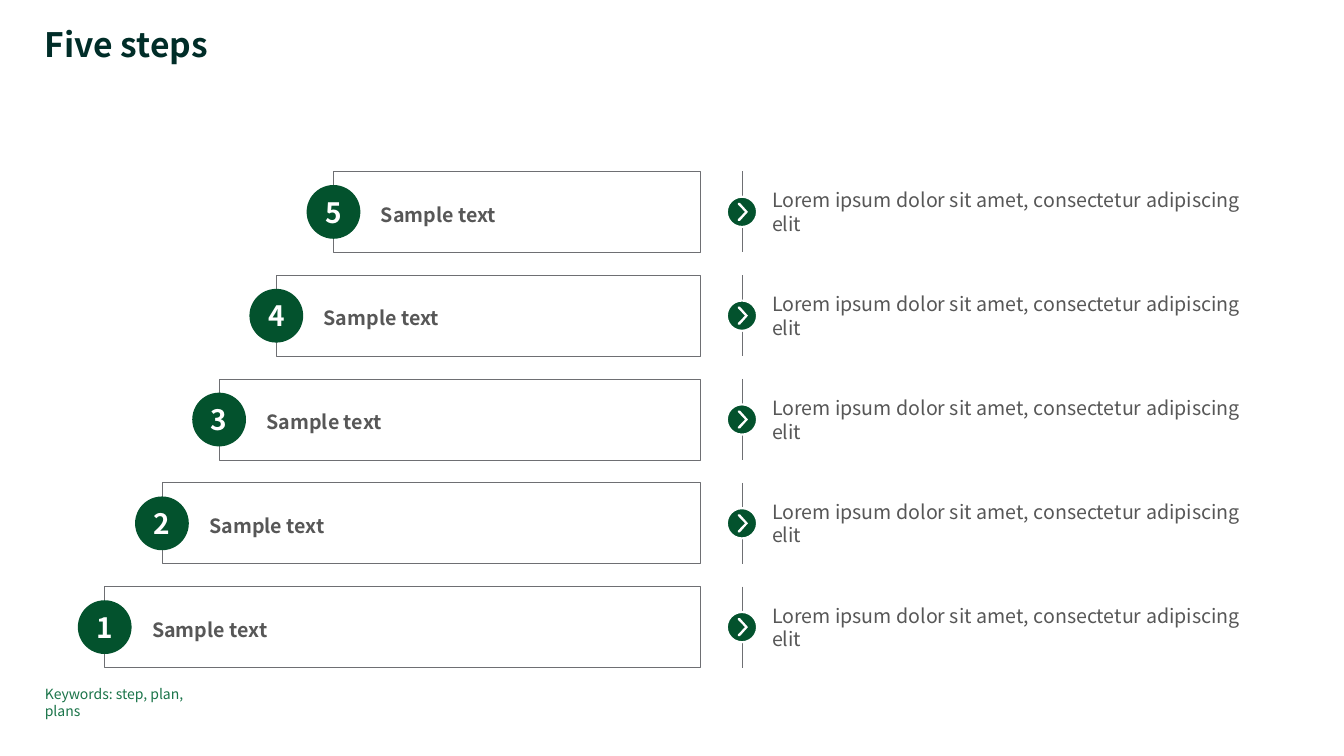
from lxml.etree import SubElement
from pptx import Presentation
from pptx.dml.color import RGBColor
from pptx.enum.shapes import MSO_CONNECTOR, MSO_SHAPE
from pptx.enum.text import MSO_ANCHOR, MSO_AUTO_SIZE, PP_ALIGN
from pptx.oxml.ns import qn
from pptx.util import Pt

FONT = "Noto Sans CJK JP"
GREEN, DARK, KEYWORD_GREEN = "03522D", "002D28", "1A7449"
GREY, LINE_GREY, WHITE = "575757", "6E6F73", "FFFFFF"

# Staircase geometry, in points
TOP, PITCH, BAR_HEIGHT = 122.4, 74.15, 57.9
BAR_LEFT, STAIR, BAR_RIGHT = 238.2, 40.85, 500.4
BADGE, MARKER, MARKER_X = 38.4, 21.6, 530
DETAIL_LEFT, DETAIL_WIDTH, DETAIL_HEIGHT = 551.5, 342.7, 34
CHEVRON = [(-1.4, -6.4), (4.3, 0), (-1.4, 6.4), (-2.9, 6.4),
           (-2.9, 5.3), (2.2, 0), (-2.9, -5.3), (-2.9, -6.4)]


def color(value):
    return RGBColor.from_string(value)


class SlideBuilder:
    def __init__(self, slide, font):
        self.slide = slide
        self.shapes = slide.shapes
        self.font = font

    def set_text(self, shape, text, size, ink, bold=False, margins=(0, 0, 0, 0),
                 anchor=MSO_ANCHOR.MIDDLE, **paragraph_format):
        frame = shape.text_frame
        frame.text = text
        left, top, right, bottom = margins
        frame_format = {
            "word_wrap": True, "auto_size": MSO_AUTO_SIZE.NONE,
            "vertical_anchor": anchor,
            "margin_left": Pt(left), "margin_top": Pt(top),
            "margin_right": Pt(right), "margin_bottom": Pt(bottom),
        }
        for name, value in frame_format.items():
            setattr(frame, name, value)
        paragraph = frame.paragraphs[0]
        for name, value in {"alignment": PP_ALIGN.LEFT, **paragraph_format}.items():
            setattr(paragraph, name, value)
        for name, value in {"name": self.font, "size": Pt(size), "bold": bold}.items():
            setattr(paragraph.font, name, value)
        paragraph.font.color.rgb = color(ink)

    def paint(self, shape, fill, line=None, width=0.5):
        shape.shadow.inherit = False
        shape.fill.solid()
        shape.fill.fore_color.rgb = color(fill)
        if line:
            shape.line.color.rgb = color(line)
            shape.line.width = Pt(width)
        else:
            shape.line.fill.background()

    def title(self, text, left, top, width, height):
        title = self.shapes.title
        box = {"left": left, "top": top, "width": width, "height": height}
        for name, value in box.items():
            setattr(title, name, Pt(value))
        self.set_text(title, text, 24, DARK, bold=True, anchor=MSO_ANCHOR.TOP,
                      line_spacing=0.9)

    def text(self, text, left, top, width, height, size, ink, **text_format):
        box = self.shapes.add_textbox(Pt(left), Pt(top), Pt(width), Pt(height))
        self.set_text(box, text, size, ink, **text_format)

    def bar(self, text, left, top, width, height):
        bar = self.shapes.add_shape(MSO_SHAPE.RECTANGLE, Pt(left), Pt(top),
                                    Pt(width), Pt(height))
        self.paint(bar, WHITE, LINE_GREY)
        self.set_text(bar, text, 14, GREY, bold=True, margins=(33.9, 5.7, 2.8, 5.7),
                      line_spacing=1.2)

    def circle(self, shapes, center_x, center_y, diameter, line=None, width=0.5):
        circle = shapes.add_shape(
            MSO_SHAPE.OVAL, Pt(center_x - diameter / 2), Pt(center_y - diameter / 2),
            Pt(diameter), Pt(diameter))
        self.paint(circle, GREEN, line, width)
        return circle

    def badge(self, number, center_x, center_y):
        badge = self.circle(self.shapes, center_x, center_y, BADGE)
        self.set_text(badge, str(number), 20, WHITE, bold=True,
                      alignment=PP_ALIGN.CENTER)

    def rule(self, x, top, bottom):
        rule = self.shapes.add_connector(MSO_CONNECTOR.STRAIGHT, Pt(x), Pt(top),
                                         Pt(x), Pt(bottom))
        rule.line.color.rgb = color(LINE_GREY)
        rule.line.width = Pt(0.5)
        SubElement(rule._element.spPr, qn("a:effectLst"))

    def marker(self, center_x, center_y):
        shapes = self.shapes.add_group_shape().shapes
        self.circle(shapes, center_x, center_y, MARKER, WHITE, 1.5)
        points = [(Pt(center_x + x), Pt(center_y + y)) for x, y in CHEVRON]
        builder = shapes.build_freeform(*points[0], scale=1.0)
        builder.add_line_segments(points[1:], close=True)
        self.paint(builder.convert_to_shape(), WHITE)


def main():
    presentation = Presentation()
    presentation.slide_width, presentation.slide_height = Pt(960), Pt(540)
    slide = presentation.slides.add_slide(presentation.slide_layouts[5])
    builder = SlideBuilder(slide, FONT)

    builder.title("Five steps", 31.9, 20.2, 794.2, 26.6)

    # Steps, from the top one down
    for row, number in enumerate(range(5, 0, -1)):
        left, top = BAR_LEFT - row * STAIR, TOP + row * PITCH
        middle = top + BAR_HEIGHT / 2
        builder.bar("Sample text", left, top, BAR_RIGHT - left, BAR_HEIGHT)
        builder.badge(number, left, middle)
        builder.rule(MARKER_X, top, top + BAR_HEIGHT)
        builder.marker(MARKER_X, middle)
        builder.text("Lorem ipsum dolor sit amet, consectetur adipiscing elit",
                     DETAIL_LEFT, middle - DETAIL_HEIGHT / 2,
                     DETAIL_WIDTH, DETAIL_HEIGHT, 14, GREY)

    # Keywords
    builder.text("Keywords: step, plan, plans", 32.1, 489.5, 122.4, 24, 10,
                 KEYWORD_GREEN, anchor=MSO_ANCHOR.TOP)

    presentation.save("out.pptx")


if __name__ == "__main__":
    main()
